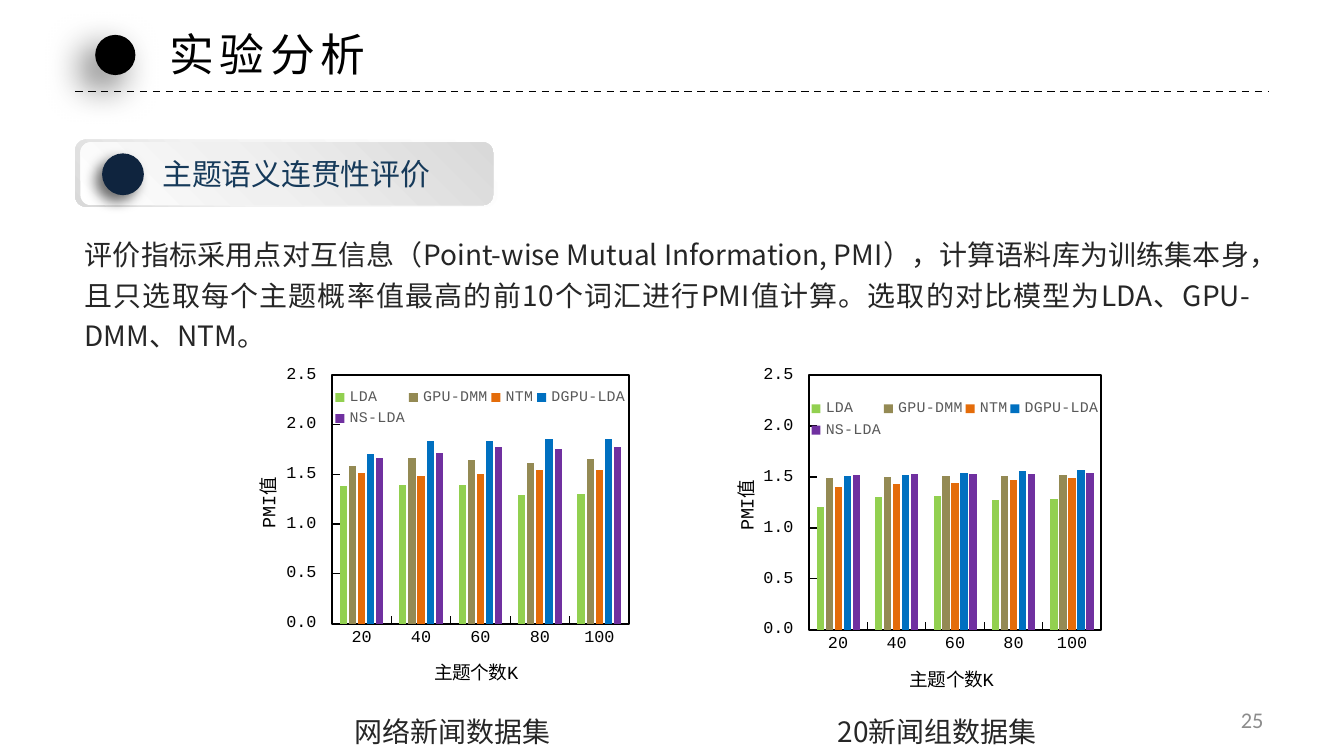
from typing import NamedTuple

from lxml.etree import SubElement
from pptx import Presentation
from pptx.chart.data import CategoryChartData
from pptx.dml.color import RGBColor
from pptx.enum.chart import XL_CHART_TYPE as ChartType, XL_LEGEND_POSITION as LegendPosition
from pptx.enum.chart import XL_TICK_MARK as TickMark
from pptx.enum.dml import MSO_LINE as LineStyle
from pptx.enum.shapes import MSO_CONNECTOR as Connector, MSO_SHAPE as ShapeType
from pptx.enum.text import MSO_ANCHOR as Anchor, PP_ALIGN as Align
from pptx.oxml import parse_xml
from pptx.oxml.ns import nsdecls, qn
from pptx.util import Cm, Pt

HAN = "Noto Sans CJK SC"
MONO = "Courier New"
CATEGORIES = ["20", "40", "60", "80", "100"]
MODELS = {"LDA": "92D050", "GPU-DMM": "948A54", "NTM": "E46C0A", "DGPU-LDA": "0070C0", "NS-LDA": "7030A0"}


class Box(NamedTuple):
    left: float
    top: float
    width: float
    height: float

    def lengths(self):
        return [Cm(value) for value in self]


class Dot(NamedTuple):
    box: Box
    color: str
    blur: float
    distance: float
    opacity: int


class Panel(NamedTuple):
    box: Box
    angle: int
    middle: int
    middle_color: str


class PmiChart(NamedTuple):
    box: Box
    legend_top: float
    caption: str
    caption_box: Box
    rows: list


DOTS = [
    Dot(Box(1.8, 0.66, 0.76, 0.76), "000000", 20, 10, 60),
    Dot(Box(1.93, 2.9, 0.79, 0.79), "0F243E", 7, 5, 57),
]
PANELS = [
    Panel(Box(1.42, 2.64, 7.98, 1.27), 135, 62, "F2F2F2"),
    Panel(Box(1.52, 2.69, 7.8, 1.19), 315, 42, "F0F0F0"),
]
CHARTS = [
    PmiChart(Box(4.7, 6.71, 7.49, 6.35), 0.09, "网络新闻数据集", Box(6.53, 13.28, 4.17, 0.97), [
        [1.38, 1.39, 1.39, 1.29, 1.3],
        [1.58, 1.66, 1.64, 1.61, 1.65],
        [1.51, 1.48, 1.5, 1.54, 1.54],
        [1.7, 1.83, 1.83, 1.85, 1.86],
        [1.66, 1.71, 1.77, 1.75, 1.77],
    ]),
    PmiChart(Box(13.74, 6.71, 7.37, 6.48), 0.12, "20新闻组数据集", Box(15.65, 13.28, 4.5, 0.97), [
        [1.21, 1.3, 1.31, 1.27, 1.28],
        [1.49, 1.5, 1.51, 1.51, 1.52],
        [1.4, 1.43, 1.44, 1.47, 1.49],
        [1.51, 1.52, 1.54, 1.56, 1.57],
        [1.52, 1.53, 1.53, 1.53, 1.54],
    ]),
]


def rgb(color: str) -> RGBColor:
    return RGBColor.from_string(color)


def style_font(font, size: float, color: str, name: str) -> None:
    font.size, font.name, font.bold = Pt(size), name, False
    font.color.rgb = rgb(color)


def add_text(slide, text: str, box: Box, *, size: float, color: str, font: str = HAN, align=Align.LEFT,
             anchor=Anchor.TOP, wrap: bool = True, inset=(0.25, 0.13), line_spacing: float = 1.0,
             tracking: int = 0) -> None:
    frame = slide.shapes.add_textbox(*box.lengths()).text_frame
    frame.word_wrap, frame.vertical_anchor = wrap, anchor
    frame.margin_left = frame.margin_right = Cm(inset[0])
    frame.margin_top = frame.margin_bottom = Cm(inset[1])
    paragraph = frame.paragraphs[0]
    paragraph.alignment, paragraph.line_spacing = align, line_spacing
    run = paragraph.add_run()
    run.text = text
    style_font(run.font, size, color, font)
    properties = run._r.get_or_add_rPr()
    SubElement(properties, qn("a:ea"), typeface=font)
    if tracking:
        properties.set("spc", str(tracking * 100))


def add_body(slide, text: str, box: Box) -> None:
    add_text(slide, text, box, size=15, color="262626", align=Align.JUSTIFY, inset=(0.18, 0.1), line_spacing=1.2)


def add_dot(slide, dot: Dot) -> None:
    shape = slide.shapes.add_shape(ShapeType.OVAL, *dot.box.lengths())
    shape.fill.solid()
    shape.fill.fore_color.rgb = rgb(dot.color)
    shape.line.fill.background()
    shape.shadow.inherit = False
    effects = shape._element.spPr.find(qn("a:effectLst"))
    effects.append(parse_xml(
        f'<a:outerShdw {nsdecls("a")} blurRad="{Pt(dot.blur)}" dist="{Pt(dot.distance)}" dir="{135 * 60000}" '
        f'algn="tr" rotWithShape="0"><a:srgbClr val="000000"><a:alpha val="{dot.opacity * 1000}"/>'
        '</a:srgbClr></a:outerShdw>'))


def add_panel(group, panel: Panel) -> None:
    shape = group.shapes.add_shape(ShapeType.ROUNDED_RECTANGLE, *panel.box.lengths())
    shape.line.fill.background()
    shape.shadow.inherit = False
    stops = "".join(f'<a:gs pos="{position * 1000}"><a:srgbClr val="{color}"/></a:gs>' for position, color in
                    [(0, "FFFFFF"), (panel.middle, panel.middle_color), (100, "D9D9D9")])
    shape._element.spPr.find(qn("a:prstGeom")).addnext(parse_xml(
        f'<a:gradFill {nsdecls("a")} rotWithShape="1"><a:gsLst>{stops}</a:gsLst>'
        f'<a:lin ang="{panel.angle * 60000}" scaled="0"/></a:gradFill>'))


def add_rule(slide) -> None:
    rule = slide.shapes.add_connector(Connector.STRAIGHT, Cm(1.42), Cm(1.73), Cm(23.98), Cm(1.73))
    rule.line.color.rgb = rgb("000000")
    rule.line.width, rule.line.dash_style = Pt(1), LineStyle.DASH
    SubElement(rule._element.spPr, qn("a:effectLst"))


def place(element, index: int, inner: bool = False, **position: float) -> None:
    for old in element.findall(qn("c:layout")):
        element.remove(old)
    target = '<c:layoutTarget val="inner"/>' if inner else ""
    modes = "".join(f'<c:{key}Mode val="edge"/>' for key in "xy")
    values = "".join(f'<c:{key} val="{value}"/>' for key, value in position.items())
    element.insert(index, parse_xml(
        f'<c:layout {nsdecls("c")}><c:manualLayout>{target}{modes}{values}</c:manualLayout></c:layout>'))


def area_format(line: str):
    return parse_xml(f'<c:spPr {nsdecls("c", "a")}><a:solidFill><a:srgbClr val="FFFFFF"/></a:solidFill>'
                     f'<a:ln w="{Pt(1)}">{line}</a:ln></c:spPr>')


def style_axis(axis, title: str, x: float, y: float) -> None:
    axis.has_major_gridlines = False
    axis.major_tick_mark, axis.minor_tick_mark = TickMark.INSIDE, TickMark.NONE
    axis.format.line.color.rgb = rgb("000000")
    axis.format.line.width = Pt(0.75)
    style_font(axis.tick_labels.font, 9, "000000", MONO)
    paragraph = axis.axis_title.text_frame.paragraphs[0]
    run = paragraph.add_run()
    run.text = title
    style_font(run.font, 10, "000000", MONO)
    place(axis.axis_title._element, 1, x=x, y=y)


def add_pmi_chart(slide, item: PmiChart) -> None:
    data = CategoryChartData()
    data.categories = CATEGORIES
    for name, values in zip(MODELS, item.rows):
        data.add_series(name, values)
    chart = slide.shapes.add_chart(ChartType.COLUMN_CLUSTERED, *item.box.lengths(), data).chart
    chart.has_title = False
    style_font(chart.font, 10, "000000", "Calibri")
    plot = chart.plots[0]
    plot.gap_width, plot.overlap, plot.vary_by_categories = 219, -27, False
    for series, color in zip(plot.series, MODELS.values()):
        series.format.fill.solid()
        series.format.fill.fore_color.rgb = rgb(color)
    style_axis(chart.category_axis, "主题个数K", 0.46, 0.9)
    style_axis(chart.value_axis, "PMI值", 0, 0.36)
    axis = chart.value_axis
    axis.minimum_scale, axis.maximum_scale, axis.major_unit = 0, 2.5, 0.5
    axis.tick_labels.number_format = r"#,##0.0_);[Red]\(#,##0.0\)"
    axis.tick_labels.number_format_is_linked = False
    chart.has_legend = True
    chart.legend.position, chart.legend.include_in_layout = LegendPosition.BOTTOM, True
    style_font(chart.legend.font, 8, "595959", MONO)
    place(chart.legend._element, 1, x=0.21, y=item.legend_top, w=0.75, h=0.14)
    space = chart._chartSpace
    plot_area = space.chart.plotArea
    place(plot_area, 0, inner=True, x=0.21, y=0.06, w=0.75, h=0.75)
    plot_area.append(area_format('<a:solidFill><a:srgbClr val="000000"/></a:solidFill>'))
    space.chart.addnext(area_format("<a:noFill/>"))
    add_body(slide, item.caption, item.caption_box)


def main() -> None:
    """Build the slide on topic coherence evaluation."""
    presentation = Presentation()
    presentation.slide_width, presentation.slide_height = Cm(25.4), Cm(14.29)
    slide = presentation.slides.add_slide(presentation.slide_layouts[6])
    add_body(slide, "评价指标采用点对互信息（Point-wise Mutual Information, PMI），计算语料库为训练集本身，"
             "且只选取每个主题概率值最高的前10个词汇进行PMI值计算。选取的对比模型为LDA、GPU-DMM、NTM。",
             Box(1.42, 4.27, 22.38, 2.44))
    add_rule(slide)
    add_text(slide, "实验分析", Box(2.95, 0.38, 4.37, 1.27), size=24, color="000000", wrap=False, tracking=3)
    group = slide.shapes.add_group_shape()
    for panel in PANELS:
        add_panel(group, panel)
    for dot in DOTS:
        add_dot(slide, dot)
    add_text(slide, "主题语义连贯性评价", Box(2.82, 2.82, 5.64, 0.94), size=16, color="163A5A", wrap=False)
    for item in CHARTS:
        add_pmi_chart(slide, item)
    add_text(slide, "25", Box(18.21, 13.23, 5.92, 0.76), size=12, color="8C8C8C", font="Calibri",
             align=Align.RIGHT, anchor=Anchor.MIDDLE)
    presentation.save("out.pptx")


if __name__ == "__main__":
    main()
